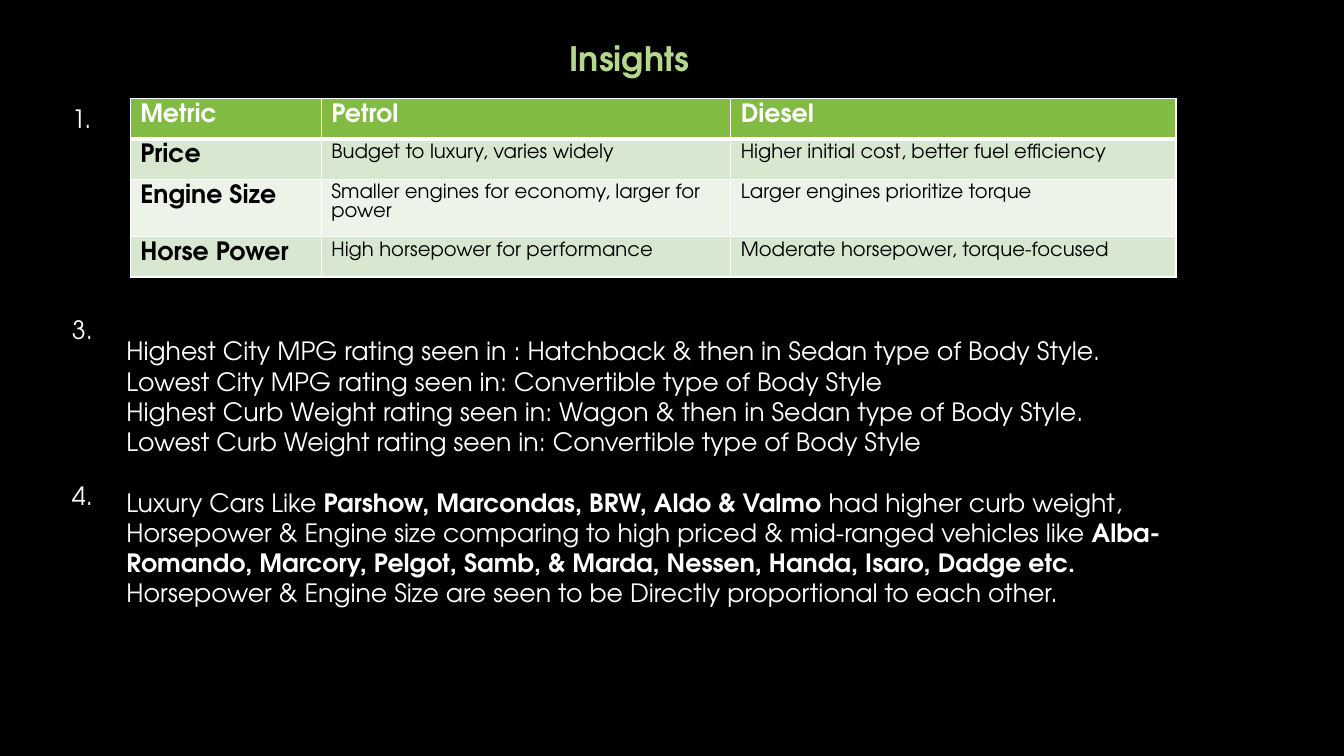
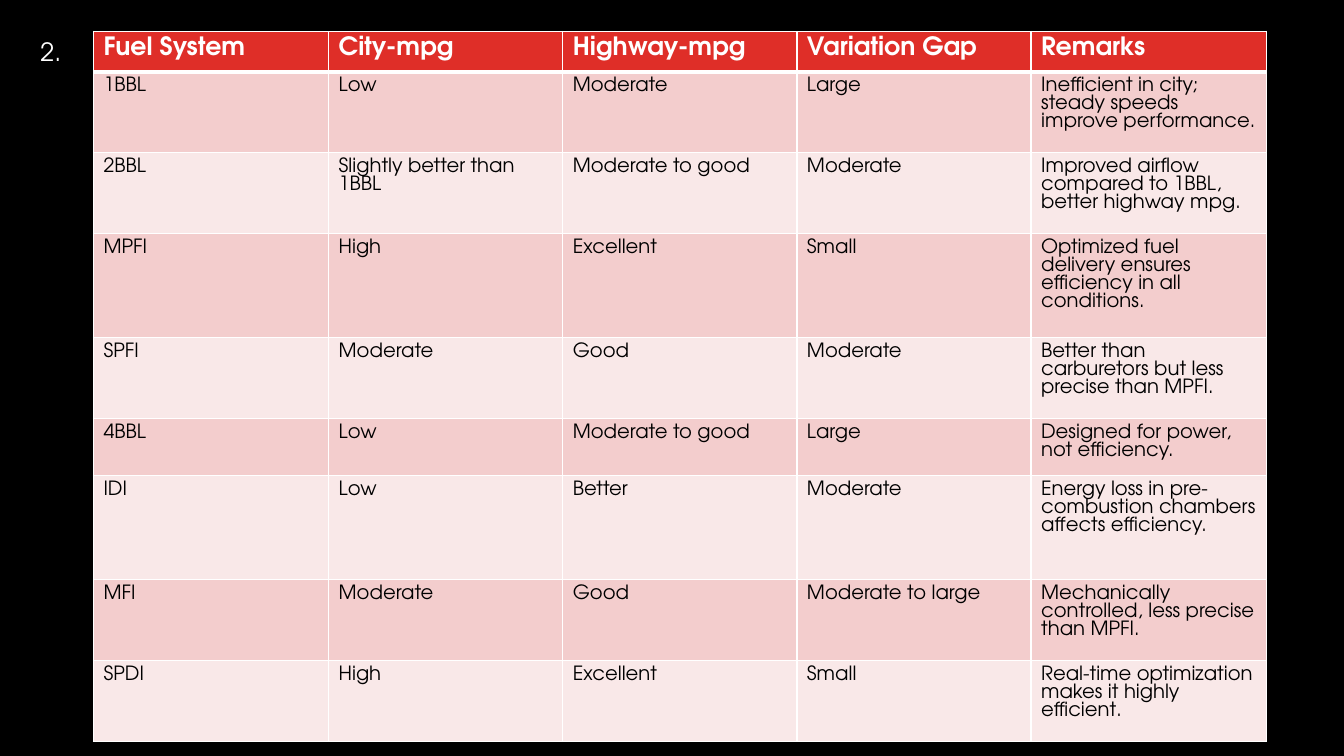
from dataclasses import dataclass

from lxml import etree
from pptx import Presentation
from pptx import util as u
from pptx.dml.color import RGBColor
from pptx.enum import text
from pptx.oxml import ns

PX = 9525  # EMU in one px
SLIDE_SIZE = 1280, 720


@dataclass(frozen=True)
class Theme:
    font: str = "TeX Gyre Adventor"
    background: str = "000000"
    light: str = "FFFFFF"
    dark: str = "000000"
    title: str = "B3D78D"
    green: tuple = ("81BB42", "D8E7CF", "EDF3E9")  # header, odd rows, even rows
    red: tuple = ("DF2E28", "F3CDCD", "F9E8E8")
    title_size: int = 24
    body_size: int = 18
    cell_size: int = 14
    rule: int = 1
    header_rule: int = 3


class Deck:
    def __init__(self, theme):
        self.theme = theme
        self.file = Presentation()
        self.file.slide_width, self.file.slide_height = (n * PX for n in SLIDE_SIZE)
        self.slide = None

    def new_slide(self):
        self.slide = self.file.slides.add_slide(self.file.slide_layouts[6])
        fill = self.slide.background.fill
        fill.solid()
        fill.fore_color.rgb = RGBColor.from_string(self.theme.background)

    def run(self, paragraph, words, size, color, bold=False):
        run = paragraph.add_run()
        run.text = words
        font = run.font
        font.name, font.size, font.bold = self.theme.font, u.Pt(size), bold
        font.color.rgb = RGBColor.from_string(color)

    def text_box(self, left, top, width, height):
        box = self.slide.shapes.add_textbox(*(n * PX for n in (left, top, width, height)))
        frame = box.text_frame
        frame.word_wrap = True
        frame.vertical_anchor = text.MSO_ANCHOR.TOP
        return frame

    def title(self, words, left, top):
        frame = self.text_box(left, top, 341, 48)
        self.run(frame.paragraphs[0], words, self.theme.title_size, self.theme.title, True)

    def number(self, words, left, top):
        frame = self.text_box(left, top, 53, 38)
        self.run(frame.paragraphs[0], words, self.theme.body_size, self.theme.light)

    def body(self, groups, left, top, width, height):
        """Write groups of paragraphs, one empty line's height apart; a paragraph is (words, bold) runs."""
        frame = self.text_box(left, top, width, height)
        paragraph = None
        for group in groups:
            for index, runs in enumerate(group):
                first = paragraph is None
                paragraph = frame.paragraphs[0] if first else frame.add_paragraph()
                if index == 0 and not first:
                    paragraph.space_before = u.Pt(self.theme.body_size * 1.2)
                for words, bold in runs:
                    self.run(paragraph, words, self.theme.body_size, self.theme.light, bold)

    def borders(self, cell, top, bottom):
        properties = cell._tc.get_or_add_tcPr()
        widths = {"L": self.theme.rule, "R": self.theme.rule, "T": top, "B": bottom}
        for side, width in widths.items():
            line = etree.SubElement(properties, ns.qn(f"a:ln{side}"), w=str(u.Pt(width)))
            fill = etree.SubElement(line, ns.qn("a:solidFill"))
            etree.SubElement(fill, ns.qn("a:srgbClr"), val=self.theme.light)

    def table(self, rows, left, top, widths, heights, palette, bold_first=False):
        """Draw a header row and banded rows; bold_first makes the first column row headings."""
        theme = self.theme
        frame = self.slide.shapes.add_table(
            len(rows), len(widths), left * PX, top * PX, sum(widths) * PX, sum(heights) * PX)
        table = frame.table
        table.first_row = table.horz_banding = False
        for column, width in zip(table.columns, widths):
            column.width = width * PX
        for row, height in zip(table.rows, heights):
            row.height = height * PX
        header, odd, even = palette
        for r, row in enumerate(rows):
            shade = header if r == 0 else odd if r % 2 else even
            for c, words in enumerate(row):
                cell = table.cell(r, c)
                self.borders(cell,
                             theme.header_rule if r == 1 else theme.rule,
                             theme.header_rule if r == 0 else theme.rule)
                cell.fill.solid()
                cell.fill.fore_color.rgb = RGBColor.from_string(shade)
                heading = r == 0 or (bold_first and c == 0)
                self.run(cell.text_frame.paragraphs[0], words,
                         theme.body_size if heading else theme.cell_size,
                         theme.dark if r else theme.light, heading)


FUEL_TYPES = [
    ("Metric", "Petrol", "Diesel"),
    ("Price", "Budget to luxury, varies widely", "Higher initial cost, better fuel efficiency"),
    ("Engine Size", "Smaller engines for economy, larger for power", "Larger engines prioritize torque"),
    ("Horse Power", "High horsepower for performance", "Moderate horsepower, torque-focused"),
]

BODY_STYLES = [[(line, False)] for line in (
    "Highest City MPG rating seen in : Hatchback & then in Sedan type of Body Style.",
    "Lowest City MPG rating seen in: Convertible type of Body Style",
    "Highest Curb Weight rating seen in: Wagon & then in Sedan type of Body Style.",
    "Lowest Curb Weight rating seen in: Convertible type of Body Style",
)]

LUXURY_CARS = [
    [
        ("Luxury Cars Like ", False),
        ("Parshow, Marcondas, BRW, Aldo & Valmo ", True),
        ("had higher curb weight, Horsepower & Engine size comparing to high priced "
         "& mid-ranged vehicles like ", False),
        ("Alba-Romando, Marcory, Pelgot, Samb, & Marda, Nessen, Handa, Isaro, Dadge etc.", True),
    ],
    [("Horsepower & Engine Size are seen to be Directly proportional to each other.", False)],
]

FUEL_SYSTEMS = [
    ("Fuel System", "City-mpg", "Highway-mpg", "Variation Gap", "Remarks"),
    ("1BBL", "Low", "Moderate", "Large", "Inefficient in city; steady speeds improve performance."),
    ("2BBL", "Slightly better than 1BBL", "Moderate to good", "Moderate",
     "Improved airflow compared to 1BBL, better highway mpg."),
    ("MPFI", "High", "Excellent", "Small",
     "Optimized fuel delivery ensures efficiency in all conditions."),
    ("SPFI", "Moderate", "Good", "Moderate", "Better than carburetors but less precise than MPFI."),
    ("4BBL", "Low", "Moderate to good", "Large", "Designed for power, not efficiency."),
    ("IDI", "Low", "Better", "Moderate",
     "Energy loss in pre-combustion chambers affects efficiency."),
    ("MFI", "Moderate", "Good", "Moderate to large",
     "Mechanically controlled, less precise than MPFI."),
    ("SPDI", "High", "Excellent", "Small", "Real-time optimization makes it highly efficient."),
]

ONE_LINE, TWO_LINES, THREE_LINES, FOUR_LINES = 38, 54, 77, 99


def insights(deck):
    deck.new_slide()
    deck.title("Insights", 533, 31)
    deck.table(FUEL_TYPES, 124, 94, (182, 390, 424),
               (ONE_LINE, ONE_LINE, TWO_LINES, ONE_LINE), deck.theme.green, bold_first=True)
    deck.body([BODY_STYLES, LUXURY_CARS], 111, 315, 1071, 272)
    for words, top in (("1.", 94), ("3.", 295), ("4.", 453)):
        deck.number(words, 59, top)


def fuel_systems(deck):
    deck.new_slide()
    heights = (ONE_LINE, THREE_LINES, THREE_LINES, FOUR_LINES, THREE_LINES,
               TWO_LINES, FOUR_LINES, THREE_LINES, THREE_LINES)
    deck.table(FUEL_SYSTEMS, 89, 30, (224, 223, 223, 223, 224), heights, deck.theme.red)
    deck.number("2.", 29, 30)


def main():
    deck = Deck(Theme())
    insights(deck)
    fuel_systems(deck)
    deck.file.save("out.pptx")


if __name__ == "__main__":
    main()
